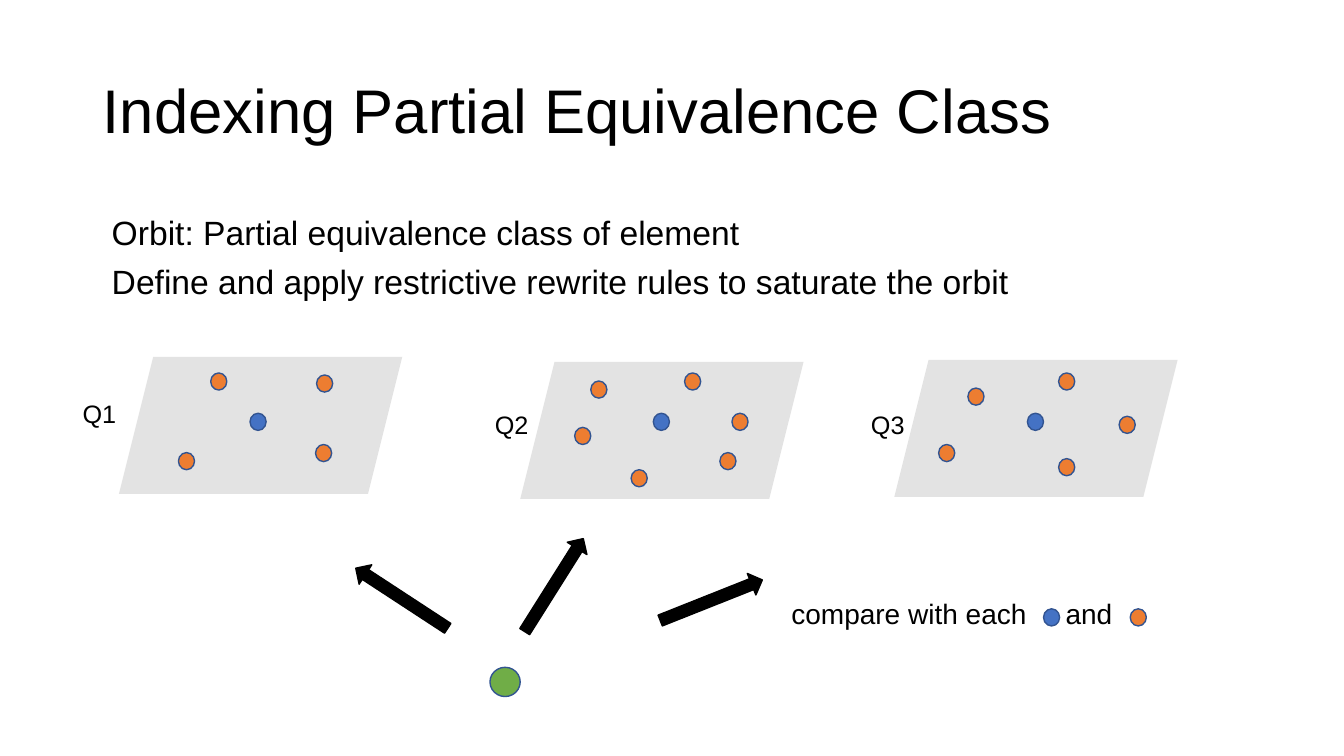
from dataclasses import dataclass

from lxml.etree import SubElement
from pptx import Presentation
from pptx.dml.color import RGBColor
from pptx.enum.shapes import MSO_SHAPE as SHAPE
from pptx.enum.text import MSO_ANCHOR as ANCHOR, MSO_AUTO_SIZE as AUTO, PP_ALIGN as ALIGN
from pptx.oxml.ns import qn
from pptx.util import Inches, Pt


@dataclass(frozen=True)
class Theme:
    font: str = "Arial"
    ink: str = "000000"
    plane: str = "A5A5A5"
    hub: str = "4472C4"
    member: str = "ED7D31"
    query: str = "70AD47"
    outline: str = "325491"
    plane_alpha: int = 31000
    title: int = 44
    body: int = 24
    note: int = 20
    label: int = 18


class Deck:
    """Draws on one slide over a grid of tenth-inch columns and rows."""

    cell = Inches(0.1)
    dot_size = (1.6, 1.7)

    def __init__(self, theme):
        self.t = theme
        self.prs = Presentation()
        self.prs.slide_width, self.prs.slide_height = Inches(13.33), Inches(7.5)
        self.s = self.prs.slides.add_slide(self.prs.slide_layouts[5])

    def grid(self, *cells):
        return [round(c * self.cell) for c in cells]

    def add_text(self, p, text, size):
        r = p.add_run()
        r.text = text
        for name, value in {"name": self.t.font, "size": Pt(size)}.items():
            setattr(r.font, name, value)
        r.font.color.rgb = RGBColor.from_string(self.t.ink)

    def title(self, text, *box):
        sp = self.s.shapes.title
        for name, value in zip(("left", "top", "width", "height"), self.grid(*box)):
            setattr(sp, name, value)
        tf = sp.text_frame
        for name, value in {"auto_size": AUTO.NONE, "word_wrap": True,
                            "vertical_anchor": ANCHOR.MIDDLE}.items():
            setattr(tf, name, value)
        p = tf.paragraphs[0]
        p.alignment, p.line_spacing = ALIGN.LEFT, 0.9
        self.add_text(p, text, self.t.title)

    def text(self, text, size, *box, tab=None):
        tf = self.s.shapes.add_textbox(*self.grid(*box)).text_frame
        tf.word_wrap, tf.auto_size = True, AUTO.SHAPE_TO_FIT_TEXT
        p = tf.paragraphs[0]
        if tab:
            tabs = SubElement(p._p.get_or_add_pPr(), qn("a:tabLst"))
            SubElement(tabs, qn("a:tab"), pos=str(self.grid(tab)[0]), algn="l")
        self.add_text(p, text, size)

    def shape(self, kind, fill, *box, line=None, rotation=0):
        sp = self.s.shapes.add_shape(kind, *self.grid(*box))
        sp.shadow.inherit = False
        sp.rotation = rotation
        sp.fill.solid()
        sp.fill.fore_color.rgb = RGBColor.from_string(fill)
        if line:
            sp.line.color.rgb = RGBColor.from_string(line)
            sp.line.width = Pt(1)
        else:
            sp.line.fill.background()
        return sp

    def plane(self, x, y):
        sp = self.shape(SHAPE.PARALLELOGRAM, self.t.plane, x, y, 28.1, 13.6)
        color = sp._element.spPr.find(qn("a:solidFill"))[0]
        SubElement(color, qn("a:alpha"), val=str(self.t.plane_alpha))

    def dot(self, fill, x, y, size=dot_size):
        self.shape(SHAPE.OVAL, fill, x, y, *size, line=self.t.outline)

    def arrow(self, x, y, rotation):
        self.shape(SHAPE.RIGHT_ARROW, self.t.ink, x, y, 10.9, 2.3,
                   line=self.t.ink, rotation=rotation)

    def orbit(self, name, plane, label, hub, members):
        self.plane(*plane)
        self.text(name, self.t.label, *label, 5.9, 4)
        self.dot(self.t.hub, *hub)
        for dx, dy in members:
            self.dot(self.t.member, hub[0] + dx, hub[1] + dy)


ORBITS = [
    ("Q1", (11.8, 35.4), (7.2, 39), (24.8, 41),
     [(6.6, -3.8), (-7.1, 3.9), (-3.9, -4), (6.5, 3.1)]),
    ("Q2", (51.6, 35.9), (48.1, 40.1), (64.8, 41),
     [(3.1, -4), (-6.2, -3.2), (-2.2, 5.6), (6.6, 3.9), (-7.8, 1.4), (7.8, 0)]),
    ("Q3", (88.7, 35.7), (85.4, 40.1), (101.9, 41),
     [(3.1, -4), (-5.9, -2.5), (3.1, 4.5), (9.1, 0.3), (-8.8, 3.1)]),
]
ARROWS = [(34.4, 58.2, 213.2), (49.5, 56.9, 302.2), (65.1, 58.4, 338.3)]


def main():
    t = Theme()
    deck = Deck(t)
    deck.title("Indexing Partial Equivalence Class", 9.2, 4, 115, 14.5)
    deck.text("Orbit: Partial equivalence class of element",
              t.body, 10.1, 20.5, 66.1, 5)
    deck.text("Define and apply restrictive rewrite rules to saturate the orbit",
              t.body, 10.1, 25.4, 96.2, 5)
    for orbit in ORBITS:
        deck.orbit(*orbit)
    for arrow in ARROWS:
        deck.arrow(*arrow)
    deck.dot(t.query, 48.6, 66.2, (3, 2.9))
    deck.text("compare with each\tand", t.note, 77.5, 58.7, 54, 4.4, tab=27.2)
    for fill, x in ((t.hub, 103.5), (t.member, 112.1)):
        deck.dot(fill, x, 60.4)
    deck.prs.save("out.pptx")


if __name__ == "__main__":
    main()
